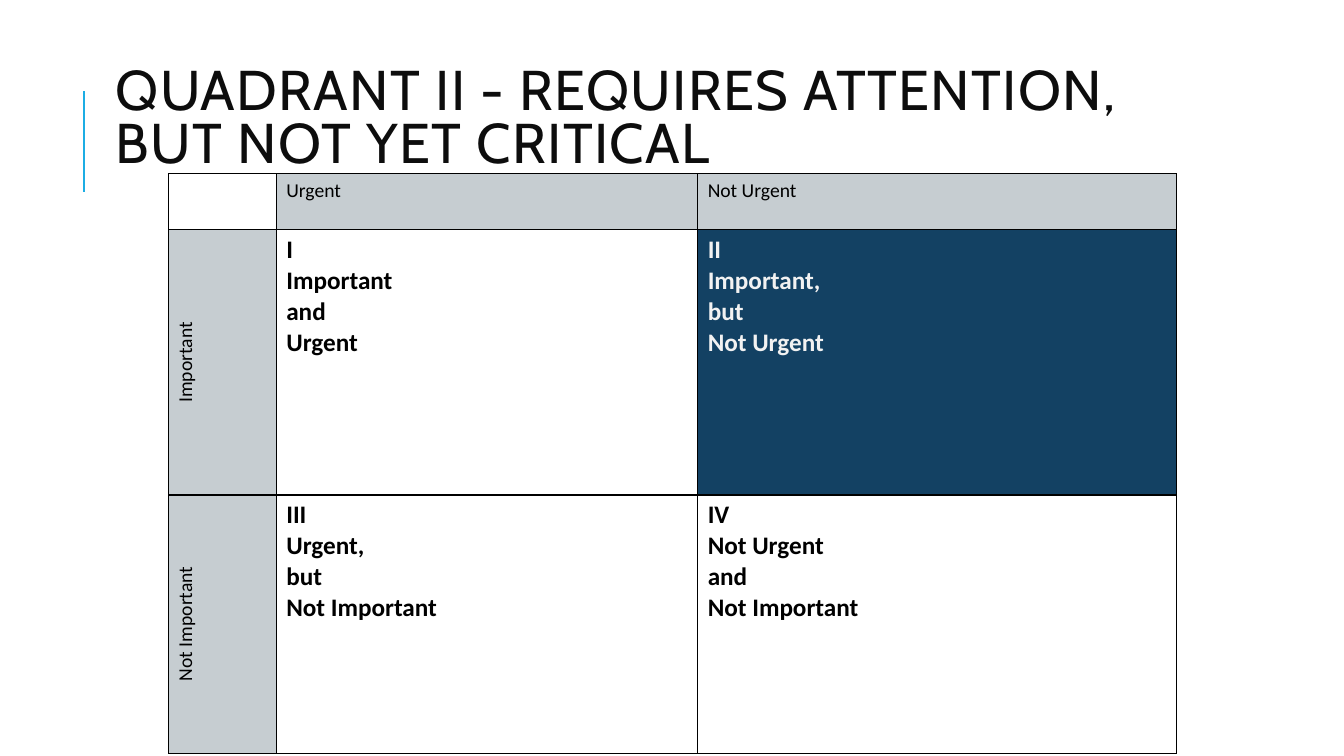
from dataclasses import dataclass
from typing import Optional

from lxml import etree
from pptx import Presentation
from pptx import util as u
from pptx.dml.color import RGBColor
from pptx.enum import shapes, text
from pptx.oxml import ns

EMU_PER_PX = 9144  # 100 px to the inch


@dataclass(frozen=True)
class Theme:
    title_font: str = "Cabin"
    body_font: str = "Calibri"
    title_size: int = 40
    label_size: int = 14
    quadrant_size: int = 18
    title_color: str = "0D0D0D"
    accent: str = "1CADE4"
    ink: str = "000000"
    light_ink: str = "F2F2F2"
    label_fill: str = "C6CDD1"
    focus_fill: str = "134163"
    outer_border: float = 0.25
    inner_border: float = 1


THEME = Theme()


@dataclass(frozen=True)
class MatrixCell:
    words: str = ""
    fill: Optional[str] = None
    color: str = THEME.ink
    quadrant: bool = False
    vertical: bool = False


def label(words: str, vertical: bool = False) -> MatrixCell:
    return MatrixCell(words, THEME.label_fill, vertical=vertical)


def quadrant(words: str, fill: Optional[str] = None, color: str = THEME.ink) -> MatrixCell:
    return MatrixCell(words, fill, color, quadrant=True)


COLUMN_WIDTHS = [107, 418, 475]
ROW_HEIGHTS = [56, 263, 256]
MATRIX = [
    [MatrixCell(), label("Urgent"), label("Not Urgent")],
    [
        label("Important", vertical=True),
        quadrant("I\nImportant\nand\nUrgent"),
        quadrant("II\nImportant,\nbut\nNot Urgent", THEME.focus_fill, THEME.light_ink),
    ],
    [
        label("Not Important", vertical=True),
        quadrant("III\nUrgent,\nbut\nNot Important"),
        quadrant("IV\nNot Urgent\nand\nNot Important"),
    ],
]


def px(length: int) -> u.Emu:
    return u.Emu(length * EMU_PER_PX)


def rgb(color: str) -> RGBColor:
    return RGBColor.from_string(color)


def style_font(font, name: str, size: int, color: str, bold: bool = False) -> None:
    font.name = name
    font.size = u.Pt(size)
    font.bold = bold
    font.color.rgb = rgb(color)


def add_accent_line(slide) -> None:
    line = slide.shapes.add_connector(
        shapes.MSO_CONNECTOR.STRAIGHT, px(83), px(190), px(83), px(90))
    line.line.color.rgb = rgb(THEME.accent)
    line.line.width = u.Pt(1.5)
    etree.SubElement(line._element.spPr, ns.qn("a:effectLst"))


def add_title(slide, words: str) -> None:
    box = slide.shapes.add_textbox(px(105), px(71), px(1063), px(98))
    frame = box.text_frame
    frame.word_wrap = True
    frame.vertical_anchor = text.MSO_ANCHOR.MIDDLE
    frame.text = words
    paragraph = frame.paragraphs[0]
    paragraph.line_spacing = 0.8
    run = paragraph.runs[0]
    style_font(run.font, THEME.title_font, THEME.title_size, THEME.title_color)
    run.font._element.set("spc", "100")


def add_border(properties, side: str, width: float) -> None:
    border = etree.SubElement(properties, ns.qn(f"a:ln{side}"), w=str(u.Pt(width)))
    fill = etree.SubElement(border, ns.qn("a:solidFill"))
    etree.SubElement(fill, ns.qn("a:srgbClr"), val=THEME.ink)


def draw_cell(cell, content: MatrixCell, outer_sides: dict[str, bool]) -> None:
    properties = cell._tc.get_or_add_tcPr()
    for side, is_outer in outer_sides.items():
        add_border(properties, side, THEME.outer_border if is_outer else THEME.inner_border)
    if content.fill:
        cell.fill.solid()
        cell.fill.fore_color.rgb = rgb(content.fill)
    else:
        cell.fill.background()
    if content.vertical:
        properties.set("vert", "vert270")
    cell.text_frame.text = content.words
    size = THEME.quadrant_size if content.quadrant else THEME.label_size
    for paragraph in cell.text_frame.paragraphs:
        if content.vertical:
            paragraph.alignment = text.PP_ALIGN.CENTER
        for run in paragraph.runs:
            style_font(run.font, THEME.body_font, size, content.color, content.quadrant)


def add_matrix(slide) -> None:
    table = slide.shapes.add_table(
        len(ROW_HEIGHTS), len(COLUMN_WIDTHS), px(167), px(172),
        px(sum(COLUMN_WIDTHS)), px(sum(ROW_HEIGHTS))).table
    table.first_row = False
    table.horz_banding = False
    for column, width in zip(table.columns, COLUMN_WIDTHS):
        column.width = px(width)
    for row, height in zip(table.rows, ROW_HEIGHTS):
        row.height = px(height)
    # Thin outer frame, heavier inner grid
    last_row, last_column = len(ROW_HEIGHTS) - 1, len(COLUMN_WIDTHS) - 1
    for r, contents in enumerate(MATRIX):
        for c, content in enumerate(contents):
            outer_sides = {"L": c == 0, "R": c == last_column, "T": r == 0, "B": r == last_row}
            draw_cell(table.cell(r, c), content, outer_sides)


def main() -> None:
    presentation = Presentation()
    presentation.slide_width, presentation.slide_height = px(1333), px(750)
    slide = presentation.slides.add_slide(presentation.slide_layouts[6])
    # Heading
    add_accent_line(slide)
    add_title(slide, "QUADRANT II - REQUIRES ATTENTION, BUT NOT YET CRITICAL")
    # Urgency and importance matrix
    add_matrix(slide)
    presentation.save("out.pptx")


if __name__ == "__main__":
    main()
